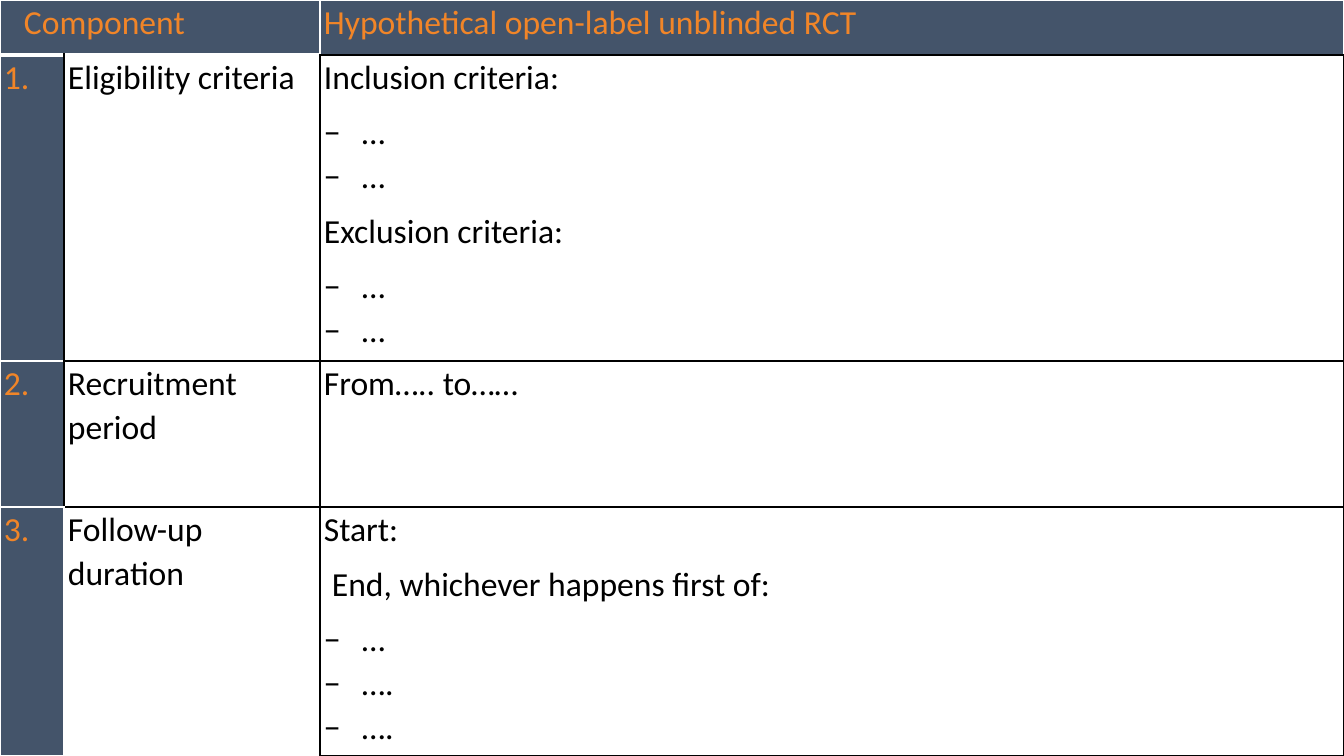
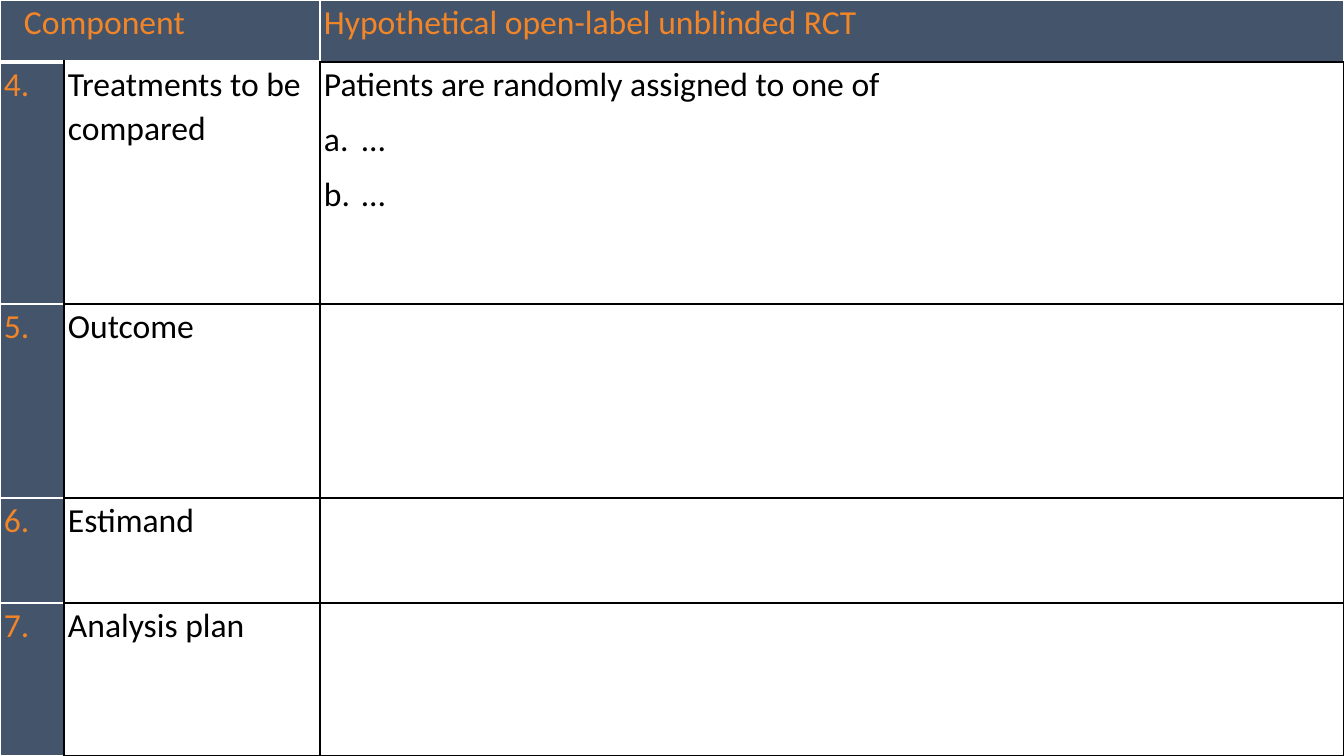
from dataclasses import dataclass

import lxml.etree
import pptx
import pptx.dml.color
import pptx.enum.text
import pptx.oxml.ns
import pptx.table
import pptx.text.text
import pptx.util

PX = 12192000 // 1344  # EMU in one pixel
PAGE_WIDTH, PAGE_HEIGHT = 1344, 756
COLUMNS = (64, 256, 1024)
COLORS = {"slate": "44546A", "orange": "F18528", "black": "000000", "white": "FFFFFF"}
FONT = "Calibri"
DASH, LETTER = "−", "letter"
HANGING = 38
LEFT = pptx.enum.text.PP_ALIGN.LEFT
JUSTIFY = pptx.enum.text.PP_ALIGN.JUSTIFY


@dataclass(frozen=True)
class Line:
    """One paragraph of a protocol description."""
    text: str
    bullet: str = ""
    indent: int = 0
    space_after: int = 8


@dataclass(frozen=True)
class Borders:
    """Colour names of the four cell edges."""
    left: str = "black"
    right: str = "black"
    top: str = "black"
    bottom: str = "black"
    bottom_width: int = 1


@dataclass(frozen=True)
class Component:
    """One numbered row of the trial protocol."""
    number: int
    label: str
    height: int
    description: tuple[Line, ...] = ()
    number_borders: Borders = Borders("white", "black", "white", "white")
    label_borders: Borders = Borders()


@dataclass(frozen=True)
class Protocol:
    """One slide: header height and the components below it."""
    header_height: int
    components: tuple[Component, ...]


def dashes(*texts: str) -> tuple[Line, ...]:
    """Make a tight dashed list with space only after its last line."""
    last = len(texts) - 1
    return tuple(Line(text, DASH, space_after=8 if i == last else 0)
                 for i, text in enumerate(texts))


PROTOCOLS = (
    Protocol(55, (
        Component(1, "Eligibility criteria", 306, (
            Line("Inclusion criteria:"), *dashes("…", "…"),
            Line("Exclusion criteria:"), *dashes("…", "…"))),
        Component(2, "Recruitment period", 146, (Line("From….. to……"),)),
        Component(3, "Follow-up duration", 249, (
            Line("Start:"),
            Line("End, whichever happens first of:", indent=8),
            *dashes("…", "….", "….")),
            number_borders=Borders("white", "white", "white", "white"),
            label_borders=Borders(left="white", bottom="white")),
    )),
    Protocol(62, (
        Component(4, "Treatments to be compared", 242, (
            Line("Patients are randomly assigned to one of"),
            Line("…", LETTER), Line("…", LETTER))),
        Component(5, "Outcome", 194),
        Component(6, "Estimand", 105),
        Component(7, "Analysis plan", 153),
    )),
)


def rgb(color: str) -> pptx.dml.color.RGBColor:
    """Look up a named colour."""
    return pptx.dml.color.RGBColor.from_string(COLORS[color])


def add_child(parent: lxml.etree._Element, tag: str, **attributes: str) -> lxml.etree._Element:
    """Append a DrawingML element."""
    child = lxml.etree.SubElement(parent, pptx.oxml.ns.qn(f"a:{tag}"))
    for name, value in attributes.items():
        child.set(name, value)
    return child


def write_text(frame: pptx.text.text.TextFrame, text: str, *, color: str = "black",
               align: pptx.enum.text.PP_ALIGN = JUSTIFY, bullet: str = "",
               indent: int = 0, space_after: int = 8) -> None:
    """Write one formatted paragraph, using the empty first one if it is free."""
    first = frame.paragraphs[0]
    paragraph = frame.add_paragraph() if first.runs else first
    paragraph.alignment = align
    paragraph.line_spacing = 1.07
    paragraph.space_after = pptx.util.Pt(space_after)
    properties = paragraph._p.get_or_add_pPr()
    properties.set("marL", str((HANGING if bullet else 0) * PX))
    properties.set("indent", str((-HANGING if bullet else indent) * PX))
    if bullet == LETTER:
        add_child(properties, "buFont", typeface=FONT)
        add_child(properties, "buAutoNum", type="alphaLcPeriod")
    elif bullet:
        add_child(properties, "buFont", typeface=FONT)
        add_child(properties, "buChar", char=bullet)
    run = paragraph.add_run()
    run.text = text
    run.font.name = FONT
    run.font.size = pptx.util.Pt(24)
    run.font.color.rgb = rgb(color)


def style_cell(cell: pptx.table._Cell, fill: str, borders: Borders) -> None:
    """Set the margins, edges and fill of a cell."""
    cell.margin_left = cell.margin_right = 4 * PX
    cell.margin_top = cell.margin_bottom = 0
    properties = cell._tc.get_or_add_tcPr()
    edges = (("lnL", borders.left, 1), ("lnR", borders.right, 1),
             ("lnT", borders.top, 1), ("lnB", borders.bottom, borders.bottom_width))
    for tag, color, width in edges:
        edge = add_child(properties, tag, w=str(pptx.util.Pt(width)))
        add_child(add_child(edge, "solidFill"), "srgbClr", val=COLORS[color])
    cell.fill.solid()
    cell.fill.fore_color.rgb = rgb(fill)


def fill_header(table: pptx.table.Table) -> None:
    """Fill the header row shared by both slides."""
    component_borders = Borders("white", "white", "white", "white", bottom_width=3)
    trial_borders = Borders("white", "white", "white", "black")
    for column, borders in enumerate((component_borders, component_borders, trial_borders)):
        style_cell(table.cell(0, column), "slate", borders)
    table.cell(0, 0).merge(table.cell(0, 1))
    write_text(table.cell(0, 0).text_frame, "Component", color="orange", indent=20)
    write_text(table.cell(0, 2).text_frame, "Hypothetical open-label unblinded RCT",
               color="orange")


def fill_component(table: pptx.table.Table, row: int, component: Component) -> None:
    """Fill one numbered row."""
    number, label, description = (table.cell(row, column) for column in range(3))
    style_cell(number, "slate", component.number_borders)
    style_cell(label, "white", component.label_borders)
    style_cell(description, "white", Borders())
    write_text(number.text_frame, f"{component.number}.", color="orange", align=LEFT)
    write_text(label.text_frame, component.label, align=LEFT)
    for line in component.description:
        write_text(description.text_frame, line.text, bullet=line.bullet,
                   indent=line.indent, space_after=line.space_after)


def add_protocol(deck: pptx.presentation.Presentation, protocol: Protocol) -> None:
    """Add a slide with its full-page protocol table."""
    slide = deck.slides.add_slide(deck.slide_layouts[6])
    heights = (protocol.header_height, *(part.height for part in protocol.components))
    table = slide.shapes.add_table(len(heights), len(COLUMNS), 0, 0,
                                   PAGE_WIDTH * PX, PAGE_HEIGHT * PX).table
    table.first_row = table.horz_banding = False
    for column, width in zip(table.columns, COLUMNS):
        column.width = width * PX
    for row, height in zip(table.rows, heights):
        row.height = height * PX
    fill_header(table)
    for row, component in enumerate(protocol.components, start=1):
        fill_component(table, row, component)


def main() -> None:
    """Build and save the deck."""
    deck = pptx.Presentation()
    deck.slide_width, deck.slide_height = PAGE_WIDTH * PX, PAGE_HEIGHT * PX
    for protocol in PROTOCOLS:
        add_protocol(deck, protocol)
    deck.save("out.pptx")


main()
